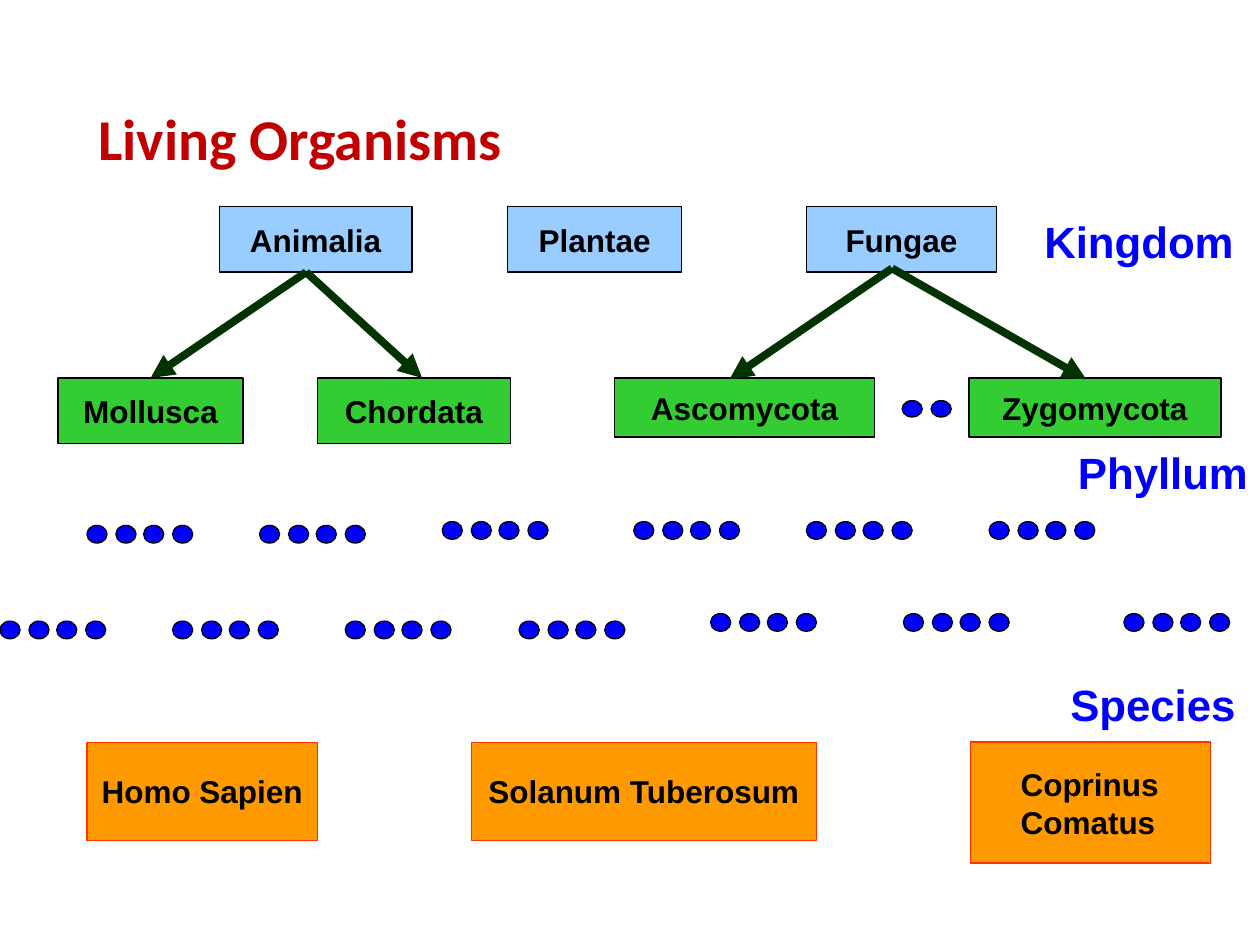
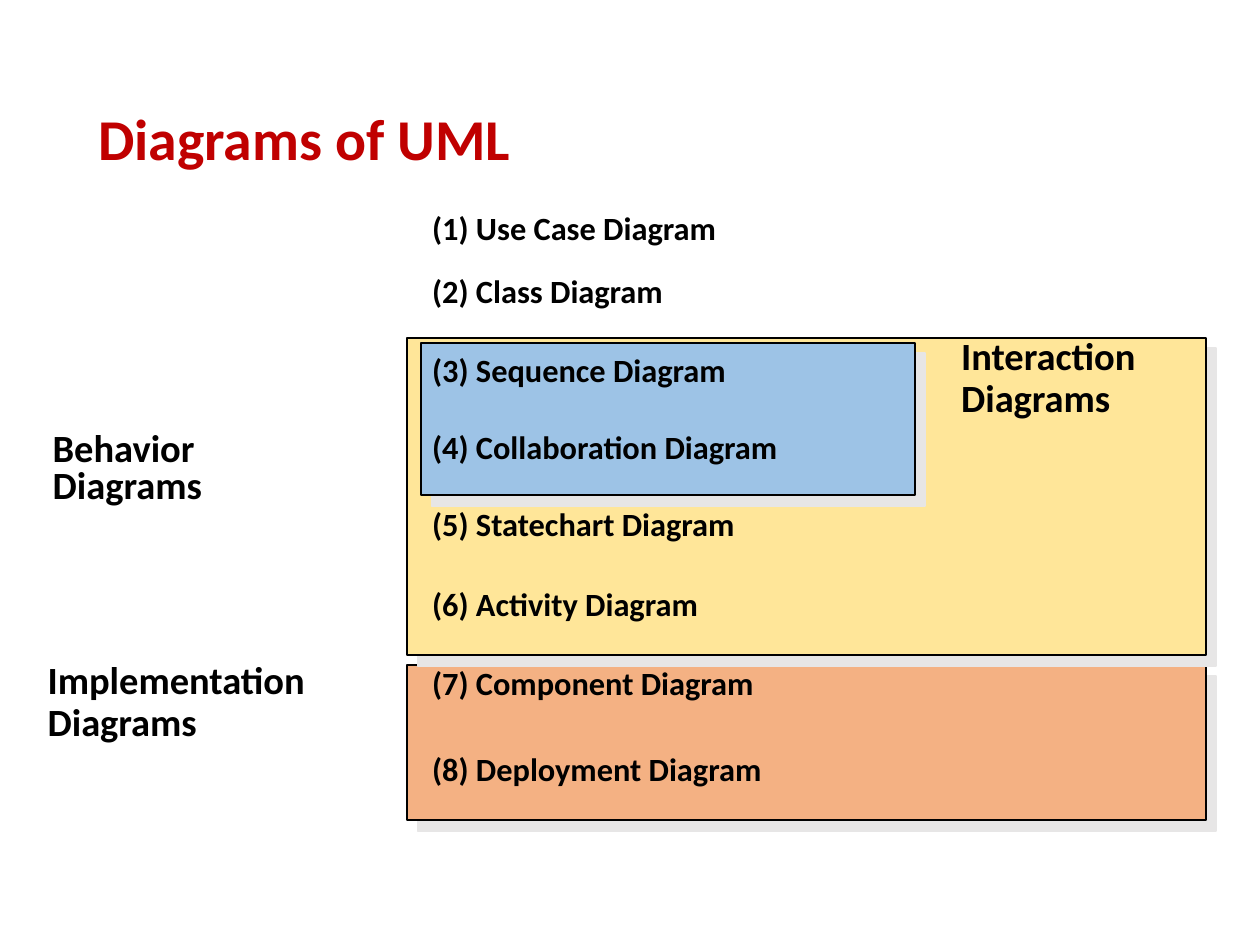
from dataclasses import dataclass
from typing import Optional

from lxml import etree
from pptx import Presentation
from pptx.dml.color import RGBColor
from pptx.enum.shapes import MSO_CONNECTOR, MSO_SHAPE
from pptx.enum.text import MSO_ANCHOR, PP_ALIGN
from pptx.oxml.ns import qn
from pptx.util import Inches, Pt

RECTANGLE, OVAL = MSO_SHAPE.RECTANGLE, MSO_SHAPE.OVAL
STRAIGHT = MSO_CONNECTOR.STRAIGHT
TOP, MIDDLE = MSO_ANCHOR.TOP, MSO_ANCHOR.MIDDLE
LEFT, CENTER = PP_ALIGN.LEFT, PP_ALIGN.CENTER

BLACK = RGBColor(0x00, 0x00, 0x00)
TITLE_RED = RGBColor(0xC0, 0x00, 0x00)
RANK_BLUE = RGBColor(0x00, 0x00, 0xFF)
KINGDOM_BLUE = RGBColor(0x99, 0xCC, 0xFF)
PHYLUM_GREEN = RGBColor(0x33, 0xCC, 0x33)
SPECIES_ORANGE = RGBColor(0xFF, 0x99, 0x00)
SPECIES_EDGE = RGBColor(0xFF, 0x33, 0x00)
BRANCH_GREEN = RGBColor(0x00, 0x33, 0x00)
IMPLEMENTATION_ORANGE = RGBColor(0xF4, 0xB1, 0x83)
BEHAVIOR_YELLOW = RGBColor(0xFF, 0xE6, 0x99)
INTERACTION_BLUE = RGBColor(0x9D, 0xC3, 0xE6)
SHADOW_GREY = RGBColor(0xE7, 0xE6, 0xE6)


@dataclass(frozen=True)
class Area:
    left: float
    top: float
    width: float
    height: float

    def lengths(self) -> tuple:
        return tuple(map(Inches, (self.left, self.top, self.width, self.height)))


@dataclass(frozen=True)
class TextStyle:
    font: str
    size: float
    color: RGBColor = BLACK
    align: PP_ALIGN = LEFT
    anchor: MSO_ANCHOR = TOP
    spacing: float = 1.0
    wrap: bool = True
    inset: float = 0.1


@dataclass(frozen=True)
class Taxon:
    name: str
    area: Area
    fill: RGBColor
    edge: RGBColor = BLACK
    style: TextStyle = TextStyle("Arial", 18, align=CENTER, anchor=MIDDLE)


@dataclass(frozen=True)
class Label:
    text: str
    area: Area
    style: TextStyle


@dataclass(frozen=True)
class Branch:
    start: tuple[float, float]
    end: tuple[float, float]
    joined_taxon: Optional[str] = None


@dataclass(frozen=True)
class Ellipsis:
    left: float
    top: float
    height: float = 0.14
    offsets: tuple = (0, 0.23, 0.45, 0.68)


@dataclass(frozen=True)
class Panel:
    area: Area
    fill: RGBColor


TITLE_AREA = Area(0.69, 0.4, 8.62, 1.45)
TITLE_STYLE = TextStyle("Calibri", 33, TITLE_RED, anchor=MIDDLE, spacing=0.9, inset=0.09)
RANK_STYLE = TextStyle("Arial", 25, RANK_BLUE, CENTER, MIDDLE, wrap=False, inset=0)
TWO_LINE_STYLE = TextStyle("Arial", 18, anchor=MIDDLE, inset=0.4)
FAMILY_STYLE = TextStyle("Calibri", 22, spacing=0.9, wrap=False)
BEHAVIOR_STYLE = TextStyle("Calibri", 22, spacing=0.8, wrap=False)
DIAGRAM_STYLE = TextStyle("Calibri", 18.5, inset=0.18)

TAXA = (
    Taxon("Animalia", Area(1.74, 1.64, 1.53, 0.52), KINGDOM_BLUE),
    Taxon("Plantae", Area(4.03, 1.64, 1.38, 0.52), KINGDOM_BLUE),
    Taxon("Fungae", Area(6.4, 1.64, 1.51, 0.52), KINGDOM_BLUE),
    Taxon("Mollusca", Area(0.46, 3, 1.47, 0.52), PHYLUM_GREEN),
    Taxon("Chordata", Area(2.52, 3, 1.53, 0.52), PHYLUM_GREEN),
    Taxon("Ascomycota", Area(4.88, 3, 2.06, 0.47), PHYLUM_GREEN),
    Taxon("Zygomycota", Area(7.69, 3, 2, 0.47), PHYLUM_GREEN),
    Taxon("Homo Sapien", Area(0.69, 5.89, 1.83, 0.78), SPECIES_ORANGE, SPECIES_EDGE),
    Taxon("Solanum Tuberosum", Area(3.74, 5.89, 2.74, 0.78), SPECIES_ORANGE, SPECIES_EDGE),
    Taxon("Coprinus Comatus", Area(7.7, 5.89, 1.91, 0.96),
          SPECIES_ORANGE, SPECIES_EDGE, TWO_LINE_STYLE),
)
RANKS = (
    Label("Kingdom", Area(8.16, 1.26, 1.76, 1.31), RANK_STYLE),
    Label("Phyllum", Area(8.46, 3.09, 1.54, 1.31), RANK_STYLE),
    Label("Species", Area(8.31, 4.93, 1.68, 1.32), RANK_STYLE),
)
BRANCHES = (
    Branch((2.43, 2.16), (1.22, 3), "Mollusca"),
    Branch((2.43, 2.16), (3.35, 3)),
    Branch((7.08, 2.13), (5.79, 3.01)),
    Branch((7.08, 2.13), (8.62, 3.01)),
)
ELLIPSIS_ROWS = {
    4.17: (0.69, 2.06),
    4.14: (3.51, 5.03, 6.4, 7.85),
    4.93: (0, 1.37, 2.74, 4.12),
    4.87: (5.64, 7.17, 8.92),
}
PHYLUM_GAP = Ellipsis(7.16, 3.18, 0.13, (0, 0.23))

PANELS = (
    Panel(Area(3.23, 5.28, 6.34, 1.23), IMPLEMENTATION_ORANGE),
    Panel(Area(3.23, 2.68, 6.34, 2.52), BEHAVIOR_YELLOW),
    Panel(Area(3.34, 2.72, 3.92, 1.21), INTERACTION_BLUE),
)
FAMILIES = (
    Label("Implementation\nDiagrams", Area(0.28, 5.2, 2.33, 0.77), FAMILY_STYLE),
    Label("Interaction\nDiagrams", Area(7.53, 2.63, 1.67, 1.18), FAMILY_STYLE),
    Label("Behavior\nDiagrams", Area(0.32, 3.39, 1.46, 0.7), BEHAVIOR_STYLE),
)
DIAGRAMS = ("Use Case", "Class", "Sequence", "Collaboration",
            "Statechart", "Activity", "Component", "Deployment")
DIAGRAM_GAPS = (0, 14, 23, 21.5, 22, 23.5, 23, 27)


def write_text(frame, text: str, style: TextStyle) -> None:
    frame.text = text
    frame.word_wrap = style.wrap
    frame.vertical_anchor = style.anchor
    frame.margin_left = Inches(style.inset)
    frame.margin_right = Inches(min(style.inset, 0.1))
    frame.margin_top = frame.margin_bottom = Inches(0.05)
    for paragraph in frame.paragraphs:
        paragraph.alignment = style.align
        paragraph.line_spacing = style.spacing
        for run in paragraph.runs:
            run.font.name = style.font
            run.font.size = Pt(style.size)
            run.font.bold = True
            run.font.color.rgb = style.color


def add_label(slide, label: Label):
    box = slide.shapes.add_textbox(*label.area.lengths())
    write_text(box.text_frame, label.text, label.style)
    return box


def add_filled(slide, preset: MSO_SHAPE, area: Area, fill: RGBColor,
               edge: RGBColor = BLACK, edge_width: float = 0.75):
    shape = slide.shapes.add_shape(preset, *area.lengths())
    shape.shadow.inherit = False
    shape.fill.solid()
    shape.fill.fore_color.rgb = fill
    shape.line.color.rgb = edge
    shape.line.width = Pt(edge_width)
    return shape


def add_taxon(slide, taxon: Taxon):
    shape = add_filled(slide, RECTANGLE, taxon.area, taxon.fill, taxon.edge)
    write_text(shape.text_frame, taxon.name, taxon.style)
    return shape


def add_branch(slide, branch: Branch, taxon_shapes: dict) -> None:
    points = map(Inches, branch.start + branch.end)
    arrow = slide.shapes.add_connector(STRAIGHT, *points)
    if branch.joined_taxon:
        arrow.end_connect(taxon_shapes[branch.joined_taxon], 0)
    arrow.line.color.rgb = BRANCH_GREEN
    arrow.line.width = Pt(4.5)
    etree.SubElement(arrow.line._get_or_add_ln(), qn("a:tailEnd"), type="triangle")
    etree.SubElement(arrow._element.spPr, qn("a:effectLst"))


def add_ellipsis(slide, ellipsis: Ellipsis) -> None:
    for offset in ellipsis.offsets:
        dot = Area(ellipsis.left + offset, ellipsis.top, 0.16, ellipsis.height)
        add_filled(slide, OVAL, dot, RANK_BLUE)


def add_panel(slide, panel: Panel) -> None:
    shape = add_filled(slide, RECTANGLE, panel.area, panel.fill, edge_width=1)
    effects = shape._element.spPr.find(qn("a:effectLst"))
    shadow = etree.SubElement(effects, qn("a:outerShdw"), blurRad="0",
                              dist=str(Pt(8.5)), dir="2700000", algn="ctr", rotWithShape="0")
    etree.SubElement(shadow, qn("a:srgbClr"), val=str(SHADOW_GREY))


def add_titled_slide(deck, title: str):
    slide = deck.slides.add_slide(deck.slide_layouts[6])
    add_label(slide, Label(title, TITLE_AREA, TITLE_STYLE))
    return slide


def build_organisms(deck) -> None:
    slide = add_titled_slide(deck, "Living Organisms")
    taxon_shapes = {taxon.name: add_taxon(slide, taxon) for taxon in TAXA}
    for branch in BRANCHES:
        add_branch(slide, branch, taxon_shapes)
    add_ellipsis(slide, PHYLUM_GAP)
    for top, lefts in ELLIPSIS_ROWS.items():
        for left in lefts:
            add_ellipsis(slide, Ellipsis(left, top))
    for rank in RANKS:
        add_label(slide, rank)


def build_uml(deck) -> None:
    slide = add_titled_slide(deck, "Diagrams of UML")
    for panel in PANELS:
        add_panel(slide, panel)
    entries = "\n".join(f"({number}) {name} Diagram"
                        for number, name in enumerate(DIAGRAMS, 1))
    listing = add_label(slide, Label(entries, Area(3.25, 1.6, 5.95, 5.17), DIAGRAM_STYLE))
    for paragraph, gap in zip(listing.text_frame.paragraphs, DIAGRAM_GAPS):
        paragraph.space_before = Pt(gap)
    for family in FAMILIES:
        add_label(slide, family)


def main() -> None:
    deck = Presentation()
    deck.slide_width, deck.slide_height = Inches(10), Inches(7.5)
    build_organisms(deck)
    build_uml(deck)
    deck.save("out.pptx")


if __name__ == "__main__":
    main()
